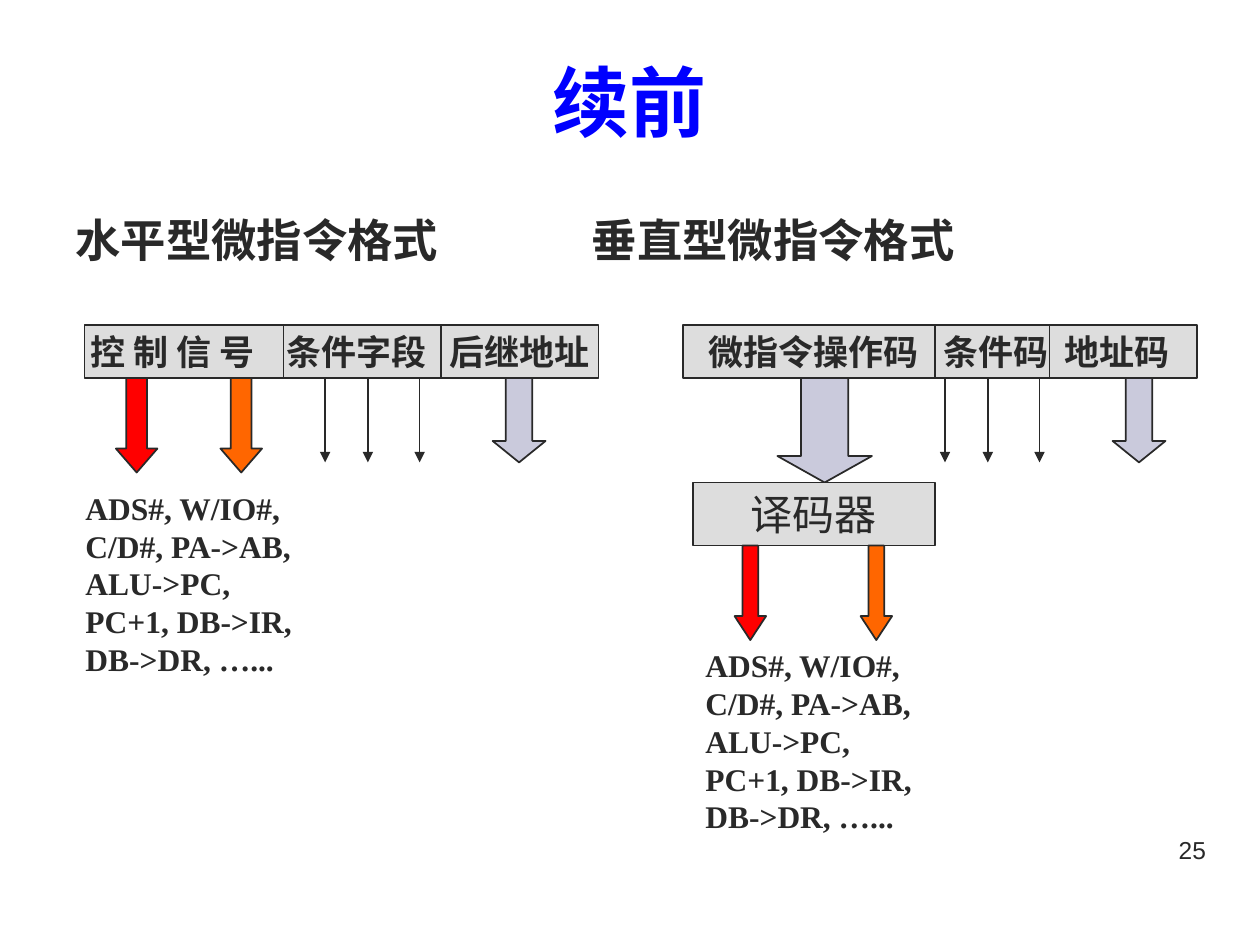
import lxml.etree
import pptx
import pptx.util
import pptx.dml.color
import pptx.enum.shapes
import pptx.enum.text
import pptx.oxml.ns

Inches = pptx.util.Inches
Pt = pptx.util.Pt
SHAPE = pptx.enum.shapes.MSO_SHAPE
ALIGN = pptx.enum.text.PP_ALIGN
ANCHOR = pptx.enum.text.MSO_ANCHOR

INK, GREY, LILAC = "292929", "DDDDDD", "CACADC"
RED, ORANGE, BLUE = "FF0000", "FF6600", "0000FF"
SERIF, SANS = "Times New Roman", "Arial"
BAR_W, BAR_H = 4.08, 0.42
SIGNALS = "ADS#, W/IO#, C/D#, PA->AB, ALU->PC, PC+1, DB->IR, DB->DR, …..."


def rgb(code):
    return pptx.dml.color.RGBColor.from_string(code)


def add_xml(parent, tag, **attrs):
    node = lxml.etree.SubElement(parent, pptx.oxml.ns.qn(tag))
    for name, value in attrs.items():
        node.set(name, str(value))
    return node


def write(shape, text, size, font=SERIF, color=INK, bold=True,
          align=ALIGN.LEFT, anchor=ANCHOR.TOP, tabs=()):
    """Fill a shape with one paragraph; tabs are in inches from its text edge."""
    frame = shape.text_frame
    frame.word_wrap = True
    frame.vertical_anchor = anchor
    para = frame.paragraphs[0]
    para.text = text
    para.alignment = align
    if tabs:
        stops = add_xml(para._p.get_or_add_pPr(), "a:tabLst")
        for stop in tabs:
            add_xml(stops, "a:tab", pos=int(Inches(stop)), algn="l")
    for run in para.runs:
        run.font.name = font
        run.font.size = Pt(size)
        run.font.bold = bold
        run.font.color.rgb = rgb(color)
    return para


def add_text(slide, left, top, width, height, text, size, **style):
    box = slide.shapes.add_textbox(
        Inches(left), Inches(top), Inches(width), Inches(height))
    return write(box, text, size, **style)


def add_block(slide, kind, left, top, width, height, fill):
    shape = slide.shapes.add_shape(
        kind, Inches(left), Inches(top), Inches(width), Inches(height))
    shape.shadow.inherit = False
    shape.fill.solid()
    shape.fill.fore_color.rgb = rgb(fill)
    shape.line.color.rgb = rgb(INK)
    shape.line.width = Pt(1)
    return shape


def add_arrow(slide, left, top, width, height, fill, head):
    """Draw a block arrow pointing down; head is the length of its tip."""
    arrow = add_block(slide, SHAPE.DOWN_ARROW, left, top, width, height, fill)
    arrow.adjustments[0] = 0.5
    arrow.adjustments[1] = head / width


def add_line(slide, x, top, height, tip=False):
    line = slide.shapes.add_connector(
        pptx.enum.shapes.MSO_CONNECTOR.STRAIGHT,
        Inches(x), Inches(top), Inches(x), Inches(top + height))
    line.line.color.rgb = rgb(INK)
    line.line.width = Pt(1)
    props = line._element.spPr
    if tip:
        add_xml(props.find(pptx.oxml.ns.qn("a:ln")), "a:tailEnd",
                type="triangle")
    add_xml(props, "a:effectLst")


def add_bar(slide, left, top, labels, starts, splits):
    """Draw an instruction word; starts and splits are offsets from its left."""
    bar = add_block(slide, SHAPE.RECTANGLE, left, top, BAR_W, BAR_H, GREY)
    frame = bar.text_frame
    frame.margin_left = Inches(starts[0])
    frame.margin_right = 0
    write(bar, "\t".join(labels), 20, anchor=ANCHOR.MIDDLE,
          tabs=[start - starts[0] for start in starts[1:]])
    for split in splits:
        add_line(slide, left + split, top, BAR_H)


def add_exits(slide, left, top):
    """Draw the three condition lines and the address arrow below a bar."""
    for step in (0, 0.34, 0.75):
        add_line(slide, left + step, top, 0.67, tip=True)
    add_arrow(slide, left + 1.33, top, 0.42, 0.67, LILAC, 0.17)


def add_pair(slide, left, top, width, gap):
    """Draw the red and orange control arrows, gap apart."""
    for index, fill in enumerate((RED, ORANGE)):
        add_arrow(slide, left + index * gap, top, width, 0.75, fill, 0.19)


def add_signals(slide, left, top):
    add_text(slide, left, top, 1.92, 1.6, SIGNALS, 18)


def add_wide(slide, left, top):
    """Draw the horizontal format."""
    add_bar(slide, left, top, ("控 制 信 号", "条件字段", "后继地址"),
            (0.05, 1.6, 2.9), (1.58, 2.83))
    below = top + BAR_H
    add_pair(slide, left + 0.25, below, 0.33, 0.83)
    add_signals(slide, left - 0.09, below + 0.83)
    add_exits(slide, left + 1.91, below)


def add_coded(slide, left, top):
    """Draw the vertical format, with its decoder."""
    add_bar(slide, left, top, ("微指令操作码", "条件码", "地址码"),
            (0.2, 2.07, 3.03), (2, 2.91))
    below = top + BAR_H
    add_arrow(slide, left + 0.75, below, 0.75, 0.83, LILAC, 0.21)
    decoder = add_block(slide, SHAPE.RECTANGLE,
                        left + 0.08, below + 0.83, 1.92, 0.5, GREY)
    write(decoder, "译码器", 24, bold=False,
          align=ALIGN.CENTER, anchor=ANCHOR.MIDDLE)
    add_pair(slide, left + 0.41, below + 1.33, 0.25, 1)
    add_signals(slide, left + 0.08, below + 2.08)
    add_exits(slide, left + 2.08, below)


def add_heads(slide):
    add_text(slide, 0.33, 0.17, 9.34, 1.25, "续前", 44, font=SANS, color=BLUE,
             align=ALIGN.CENTER, anchor=ANCHOR.MIDDLE)
    para = add_text(slide, 0.5, 1.75, 9.17, 0.43,
                    "水平型微指令格式\t垂直型微指令格式", 25.9,
                    font=SANS, tabs=(4.1,))
    para.line_spacing = 0.7
    add_text(slide, 7.17, 6.58, 2.5, 0.52, "25", 14, font=SANS, bold=False,
             align=ALIGN.RIGHT)


def main():
    deck = pptx.Presentation()
    deck.slide_width = Inches(10)
    deck.slide_height = Inches(7.5)
    slide = deck.slides.add_slide(deck.slide_layouts[6])
    add_heads(slide)
    add_wide(slide, 0.67, 2.58)
    add_coded(slide, 5.42, 2.58)
    deck.save("out.pptx")


if __name__ == "__main__":
    main()
